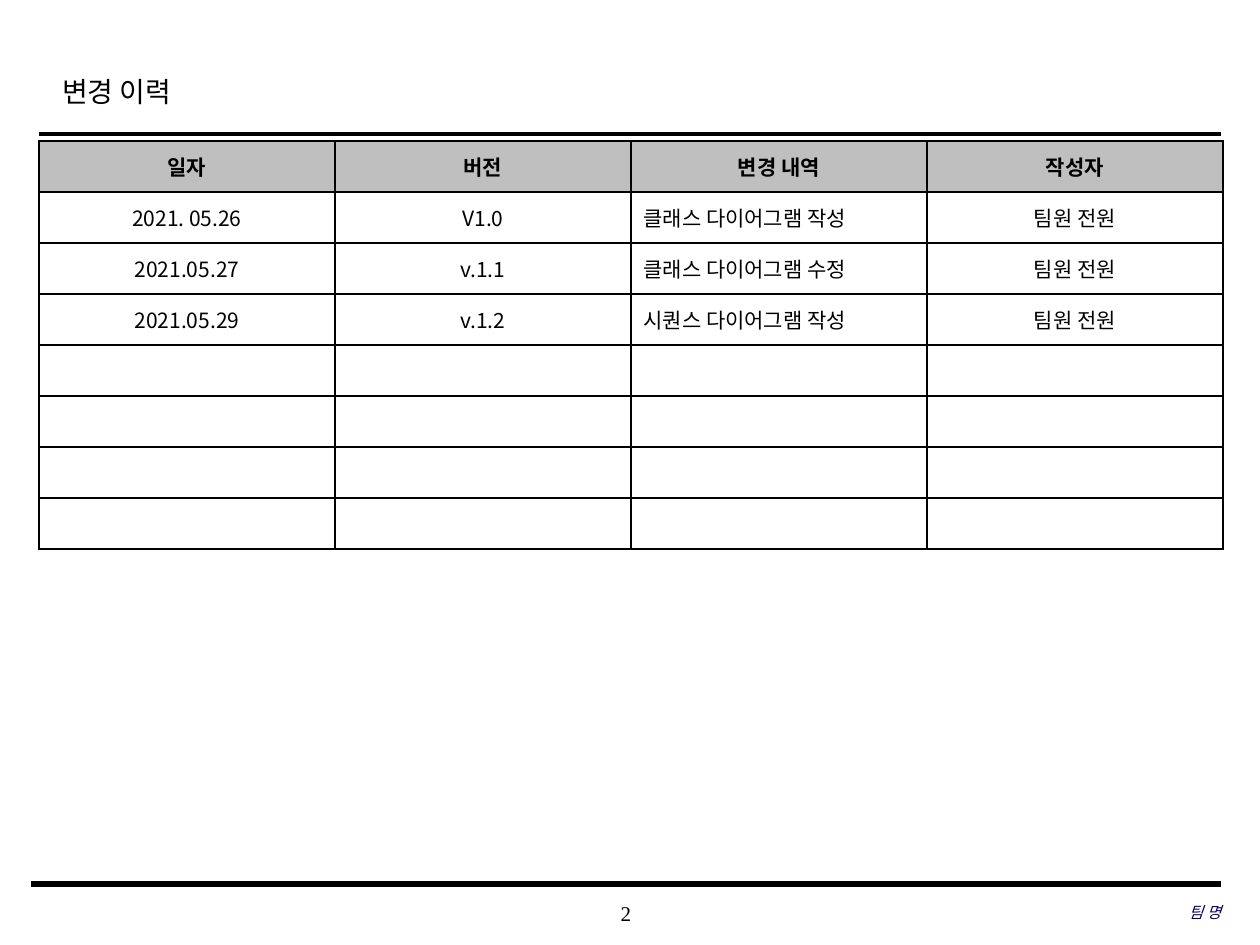
from dataclasses import dataclass

from lxml import etree
from pptx import Presentation
from pptx.dml.color import RGBColor
from pptx.enum.shapes import MSO_CONNECTOR
from pptx.enum.text import MSO_ANCHOR, PP_ALIGN
from pptx.oxml.ns import qn
from pptx.util import Emu, Pt

STRAIGHT = MSO_CONNECTOR.STRAIGHT
TOP, MIDDLE = MSO_ANCHOR.TOP, MSO_ANCHOR.MIDDLE
LEFT, CENTER, RIGHT = PP_ALIGN.LEFT, PP_ALIGN.CENTER, PP_ALIGN.RIGHT
PX_PER_INCH = 126
SERIF, SANS = "Times New Roman", "Noto Sans CJK KR"
BLACK, WHITE, GRAY, NAVY = "000000", "FFFFFF", "BFBFBF", "000066"

TABLE_LEFT, TABLE_TOP = 39, 141
COLUMN_WIDTH, ROW_HEIGHT = 296, 51
EMPTY_ROWS = 4
DESCRIPTION_COLUMN = 2
HISTORY = [
    ("일자", "버전", "변경 내역", "작성자"),
    ("2021. 05.26", "V1.0", "클래스 다이어그램 작성", "팀원 전원"),
    ("2021.05.27", "v.1.1", "클래스 다이어그램 수정", "팀원 전원"),
    ("2021.05.29", "v.1.2", "시퀀스 다이어그램 작성", "팀원 전원"),
]


@dataclass
class Rule:
    left: int
    right: int
    y: int
    weight: float


@dataclass
class Label:
    text: str
    left: int
    top: int
    width: int
    height: int
    size: int
    align: PP_ALIGN = CENTER
    anchor: MSO_ANCHOR = MIDDLE
    color: str = BLACK
    italic: bool = False
    inset: tuple[int, int] = (0, 0)
    line_spacing: float = 1.0


RULES = [Rule(39, 1221, 134, 2.5), Rule(31, 1221, 884, 3)]
LABELS = [
    Label("변경 이력", 49, 62, 951, 63, 16, LEFT, TOP, inset=(13, 6), line_spacing=1.2),
    Label("2", 495, 892, 262, 42, 12),
    Label("팀 명", 835, 891, 386, 42, 9, RIGHT, color=NAVY, italic=True),
]


def px(length: int) -> Emu:
    return Emu(round(length * 914400 / PX_PER_INCH))


def rgb(value: str) -> RGBColor:
    return RGBColor.from_string(value)


def style_paragraph(paragraph, name: str, size: int, color: str, align: PP_ALIGN) -> None:
    paragraph.alignment = align
    paragraph.font.name = name
    paragraph.font.size = Pt(size)
    paragraph.font.color.rgb = rgb(color)


def draw_rule(slide, rule: Rule) -> None:
    connector = slide.shapes.add_connector(
        STRAIGHT, px(rule.left), px(rule.y), px(rule.right), px(rule.y)
    )
    connector.line.color.rgb = rgb(BLACK)
    connector.line.width = Pt(rule.weight)
    etree.SubElement(connector._element.spPr, qn("a:effectLst"))


def draw_label(slide, label: Label) -> None:
    shape = slide.shapes.add_textbox(
        px(label.left), px(label.top), px(label.width), px(label.height)
    )
    frame = shape.text_frame
    frame.word_wrap = True
    frame.vertical_anchor = label.anchor
    frame.margin_left = frame.margin_right = px(label.inset[0])
    frame.margin_top = frame.margin_bottom = px(label.inset[1])
    paragraph = frame.paragraphs[0]
    paragraph.text = label.text
    paragraph.line_spacing = label.line_spacing
    style_paragraph(paragraph, SERIF, label.size, label.color, label.align)
    paragraph.font.italic = label.italic


def draw_borders(cell, color: str, weight: float) -> None:
    properties = cell._tc.get_or_add_tcPr()
    for index, side in enumerate(("lnL", "lnR", "lnT", "lnB")):
        border = etree.Element(qn(f"a:{side}"), w=str(Pt(weight)))
        fill = etree.SubElement(border, qn("a:solidFill"))
        etree.SubElement(fill, qn("a:srgbClr"), val=color)
        properties.insert(index, border)


def fill_cell(cell, text: str, is_header: bool, align: PP_ALIGN) -> None:
    cell.fill.solid()
    cell.fill.fore_color.rgb = rgb(GRAY if is_header else WHITE)
    cell.vertical_anchor = MIDDLE
    paragraph = cell.text_frame.paragraphs[0]
    if text:
        paragraph.text = text
    style_paragraph(paragraph, SANS, 12, BLACK, align)
    paragraph.font.bold = is_header
    draw_borders(cell, BLACK, 1)


def draw_history(slide) -> None:
    column_count = len(HISTORY[0])
    rows = HISTORY + [("",) * column_count] * EMPTY_ROWS
    table = slide.shapes.add_table(
        len(rows), column_count, px(TABLE_LEFT), px(TABLE_TOP),
        px(COLUMN_WIDTH * column_count), px(ROW_HEIGHT * len(rows)),
    ).table
    for column in table.columns:
        column.width = px(COLUMN_WIDTH)
    for row_index, values in enumerate(rows):
        table.rows[row_index].height = px(ROW_HEIGHT)
        is_header = row_index == 0
        for column_index, text in enumerate(values):
            is_description = column_index == DESCRIPTION_COLUMN and not is_header
            align = LEFT if is_description else CENTER
            fill_cell(table.cell(row_index, column_index), text, is_header, align)


def main() -> None:
    presentation = Presentation()
    presentation.slide_width = px(1260)
    presentation.slide_height = px(945)
    slide = presentation.slides.add_slide(presentation.slide_layouts[6])
    for rule in RULES:
        draw_rule(slide, rule)
    for label in LABELS:
        draw_label(slide, label)
    draw_history(slide)
    presentation.save("out.pptx")


if __name__ == "__main__":
    main()
